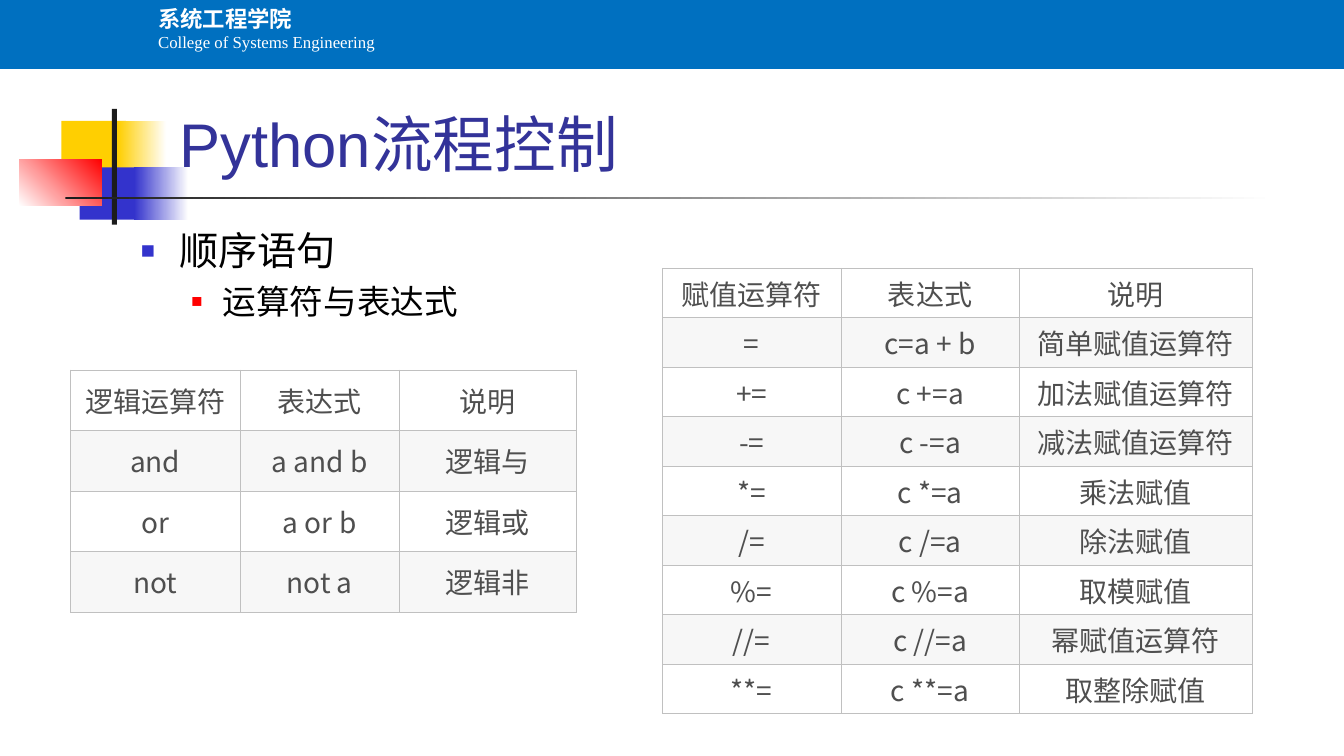
from lxml.etree import SubElement
from pptx import Presentation
from pptx.dml.color import RGBColor
from pptx.enum.shapes import MSO_SHAPE
from pptx.enum.text import MSO_ANCHOR, MSO_AUTO_SIZE, PP_ALIGN
from pptx.oxml.ns import qn
from pptx.util import Pt

PX = 9144
SANS, CJK, SERIF = "Arial", "Noto Sans CJK SC", "Times New Roman"
COLORS = {
    "white": "FFFFFF", "black": "000000", "ink": "1C1C1C", "banner": "0070C0",
    "yellow": "FFCF01", "blue": "3333CC", "red": "FF0000", "title": "333399",
    "cell_text": "4F4F4F", "border": "C0C0C0", "band": "F7F7F7",
}

LOGIC_ROWS = [
    ("逻辑运算符", "表达式", "说明"),
    ("and", "a and b", "逻辑与"),
    ("or", "a or b", "逻辑或"),
    ("not", "not a", "逻辑非"),
]
ASSIGN_ROWS = [
    ("赋值运算符", "表达式", "说明"),
    ("=", "c=a + b", "简单赋值运算符"),
    ("+=", "c +=a", "加法赋值运算符"),
    ("-=", "c -=a", "减法赋值运算符"),
    ("*=", "c *=a", "乘法赋值"),
    ("/=", "c /=a", "除法赋值"),
    ("%=", "c %=a", "取模赋值"),
    ("//=", "c //=a", "幂赋值运算符"),
    ("**=", "c **=a", "取整除赋值"),
]


def rgb(name):
    return RGBColor.from_string(COLORS[name])


def emu(*lengths):
    return [length * PX for length in lengths]


def add_rect(slide, x, y, w, h, color, end=None, angle=0):
    sp = slide.shapes.add_shape(MSO_SHAPE.RECTANGLE, *emu(x, y, w, h))
    sp.shadow.inherit = False
    sp.line.fill.background()
    if end:
        sp.fill.gradient()
        sp.fill.gradient_angle = angle
        for stop, name, position in zip(sp.fill.gradient_stops, (color, end), (0, 1)):
            stop.color.rgb = rgb(name)
            stop.position = position
    else:
        sp.fill.solid()
        sp.fill.fore_color.rgb = rgb(color)
    return sp


def add_text_box(slide, x, y, w, h, anchor=MSO_ANCHOR.TOP):
    tf = slide.shapes.add_textbox(*emu(x, y, w, h)).text_frame
    tf.word_wrap = True
    tf.vertical_anchor = anchor
    return tf


def add_run(p, text, size, font, color, bold=False):
    r = p.add_run()
    r.text = text
    r.font.size = Pt(size)
    r.font.bold = bold
    r.font.name = font
    r.font.color.rgb = rgb(color)
    SubElement(r.font._element, qn("a:ea")).set("typeface", font)


def set_bullet(p, left, hanging, color, percent):
    pPr = p._p.get_or_add_pPr()
    pPr.set("marL", str(left * PX))
    pPr.set("indent", str(-hanging * PX))
    SubElement(SubElement(pPr, qn("a:buClr")), qn("a:srgbClr")).set("val", COLORS[color])
    SubElement(pPr, qn("a:buSzPct")).set("val", str(percent * 1000))
    SubElement(pPr, qn("a:buFont")).set("typeface", SANS)
    SubElement(pPr, qn("a:buChar")).set("char", "■")


def set_borders(cell):
    tcPr = cell._tc.get_or_add_tcPr()
    for index, side in enumerate(("lnL", "lnR", "lnT", "lnB")):
        ln = tcPr.makeelement(qn(f"a:{side}"), {"w": str(int(Pt(0.6)))})
        fill = SubElement(ln, qn("a:solidFill"))
        SubElement(fill, qn("a:srgbClr")).set("val", COLORS["border"])
        tcPr.insert(index, ln)


def add_ornament(slide, x, y):
    add_rect(slide, x + 42, y + 12, 64, 52, "yellow")
    add_rect(slide, x + 98, y + 12, 48, 52, "yellow", "white")
    add_rect(slide, x + 60, y + 58, 62, 52, "blue")
    add_rect(slide, x + 114, y + 58, 54, 52, "blue", "white")
    add_rect(slide, x, y + 50, 82, 46, "white", "red", 45)
    add_rect(slide, x + 92, y, 5, 115, "ink")
    add_rect(slide, x + 46, y + 87, 1200, 3, "ink", "white")


def add_banner(slide, x, y, w, h):
    sp = add_rect(slide, x, y, w, h, "banner")
    sp.line.color.rgb = rgb("banner")
    sp.line.width = Pt(2)
    tf = add_text_box(slide, x + 147, y, w - 147, h - 10)
    tf.auto_size = MSO_AUTO_SIZE.SHAPE_TO_FIT_TEXT
    add_run(tf.paragraphs[0], "系统工程学院", 16, CJK, "white", True)
    add_run(tf.add_paragraph(), "College of Systems Engineering", 12, SERIF, "white")


def add_title(slide, x, y, w, h):
    tf = add_text_box(slide, x, y, w, h, MSO_ANCHOR.BOTTOM)
    add_run(tf.paragraphs[0], "Python流程控制", 44, SANS, "title")


def add_outline(slide, x, y, w, h):
    tf = add_text_box(slide, x, y, w, h)
    p = tf.paragraphs[0]
    set_bullet(p, 38, 38, "blue", 60)
    add_run(p, "顺序语句", 28, SANS, "black")
    p = tf.add_paragraph()
    p.level = 1
    p.space_before = Pt(5)
    set_bullet(p, 81, 31, "red", 55)
    add_run(p, "运算符与表达式", 24, SANS, "black")


def add_operator_table(slide, x, y, widths, h, rows, inset):
    frame = slide.shapes.add_table(len(rows), len(widths), *emu(x, y, sum(widths), h))
    table = frame.table
    for column, width in zip(table.columns, widths):
        column.width = width * PX
    for i, texts in enumerate(rows):
        table.rows[i].height = h * PX // len(rows)
        for j, text in enumerate(texts):
            cell = table.cell(i, j)
            cell.margin_left = cell.margin_right = inset * PX
            cell.margin_top = cell.margin_bottom = inset * PX
            cell.vertical_anchor = MSO_ANCHOR.MIDDLE
            cell.fill.solid()
            cell.fill.fore_color.rgb = rgb("band" if i % 2 else "white")
            set_borders(cell)
            p = cell.text_frame.paragraphs[0]
            p.alignment = PP_ALIGN.CENTER
            add_run(p, text, 20, CJK, "cell_text")


def add_operator_slide(prs):
    slide = prs.slides.add_slide(prs.slide_layouts[6])
    add_ornament(slide, 19, 108)
    add_banner(slide, 0, 0, 1333, 67)
    add_title(slide, 168, 23, 1136, 160)
    add_operator_table(slide, 70, 367, (168, 158, 176), 240, LOGIC_ROWS, 7)
    add_operator_table(slide, 657, 266, (177, 177, 231), 442, ASSIGN_ROWS, 3)
    add_outline(slide, 130, 220, 1133, 450)


def main():
    prs = Presentation()
    prs.slide_width, prs.slide_height = emu(1333, 750)
    add_operator_slide(prs)
    prs.save("out.pptx")


if __name__ == "__main__":
    main()
